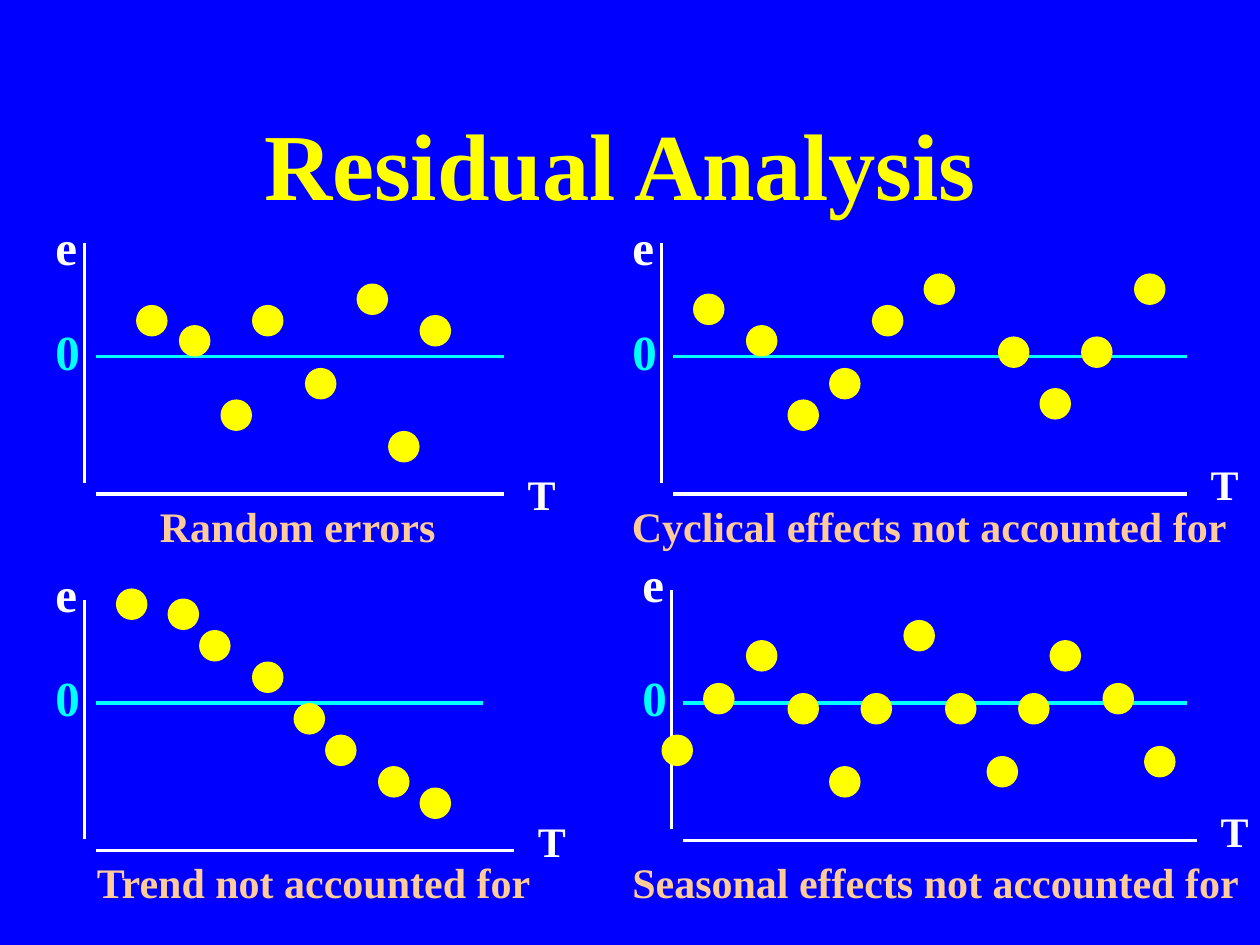
from dataclasses import dataclass

from lxml.etree import SubElement
from pptx import Presentation
from pptx.dml.color import RGBColor
from pptx.enum.shapes import MSO_CONNECTOR, MSO_SHAPE
from pptx.enum.text import MSO_ANCHOR, PP_ALIGN
from pptx.oxml.ns import qn
from pptx.util import Inches, Pt

FONT = "Times New Roman"
BLUE, YELLOW, WHITE, CYAN, PEACH = "0000FF", "FFFF00", "FFFFFF", "00FFFF", "FFCC99"
DOT = 0.25
AXIS_GAP = 0.09
AXIS_HEIGHT = 1.9
Point = tuple[float, float]


@dataclass
class Caption:
    text: str
    left: float
    top: float
    width: float
    align: PP_ALIGN = PP_ALIGN.LEFT


@dataclass
class Panel:
    caption: Caption
    left: float       # x of the vertical axis
    top: float        # upper end of the vertical axis
    zero: float       # y of the zero line
    zero_end: float
    axis_end: float   # right end of the horizontal axis
    e_top: float
    t_top: float
    dots: list[Point]  # upper left corners


PANELS = [
    Panel(Caption("Random errors", 1.17, 3.92, 2.75),
          0.67, 1.93, 2.83, 4, 4, 1.67, 3.67,
          [(1.08, 2.42), (1.42, 2.58), (1.75, 3.17), (2, 2.42),
           (2.42, 2.92), (2.83, 2.25), (3.08, 3.42), (3.33, 2.5)]),
    Panel(Caption("Cyclical effects not accounted for", 4.75, 3.92, 5.25, PP_ALIGN.CENTER),
          5.25, 1.93, 2.83, 9.42, 9.42, 1.67, 3.59,
          [(5.5, 2.33), (5.92, 2.58), (6.25, 3.17), (6.58, 2.92), (6.92, 2.42),
           (7.33, 2.17), (7.92, 2.67), (8.25, 3.08), (8.58, 2.67), (9, 2.17)]),
    Panel(Caption("Trend not accounted for", 0.67, 6.75, 3.83),
          0.67, 4.76, 5.58, 3.83, 4.08, 4.42, 6.42,
          [(0.92, 4.67), (1.33, 4.75), (1.58, 5), (2, 5.25),
           (2.33, 5.58), (2.58, 5.83), (3, 6.08), (3.33, 6.25)]),
    Panel(Caption("Seasonal effects not accounted for", 4.92, 6.75, 5.08),
          5.33, 4.68, 5.58, 9.42, 9.5, 4.34, 6.34,
          [(5.25, 5.83), (5.58, 5.42), (5.92, 5.08), (6.25, 5.5), (6.58, 6.08),
           (6.83, 5.5), (7.17, 4.92), (7.5, 5.5), (7.83, 6), (8.08, 5.5),
           (8.33, 5.08), (8.75, 5.42), (9.08, 5.92)]),
]


def rgb(color: str) -> RGBColor:
    return RGBColor.from_string(color)


def set_text(tf, text: str, size: float, color: str, align: PP_ALIGN) -> None:
    tf.text = text
    tf.word_wrap = True
    p = tf.paragraphs[0]
    p.alignment = align
    font = p.runs[0].font
    font.name, font.size, font.bold = FONT, Pt(size), True
    font.color.rgb = rgb(color)


def add_text(s, text: str, left: float, top: float, width: float, height: float,
             size: float, color: str, align: PP_ALIGN = PP_ALIGN.LEFT) -> None:
    sp = s.shapes.add_textbox(Inches(left), Inches(top), Inches(width), Inches(height))
    set_text(sp.text_frame, text, size, color, align)


def add_line(s, start: Point, end: Point, color: str) -> None:
    x1, y1, x2, y2 = (Inches(v) for v in (*start, *end))
    line = s.shapes.add_connector(MSO_CONNECTOR.STRAIGHT, x1, y1, x2, y2)
    line.line.color.rgb = rgb(color)
    line.line.width = Pt(2)
    SubElement(line._element.spPr, qn("a:effectLst"))


def add_dot(s, left: float, top: float) -> None:
    sp = s.shapes.add_shape(MSO_SHAPE.OVAL, Inches(left), Inches(top), Inches(DOT), Inches(DOT))
    sp.shadow.inherit = False
    sp.fill.solid()
    sp.fill.fore_color.rgb = rgb(YELLOW)
    sp.line.fill.background()


def add_panel(s, panel: Panel) -> None:
    # Axes and zero line
    x = panel.left + AXIS_GAP
    bottom = panel.top + AXIS_HEIGHT
    axis_y = bottom + AXIS_GAP
    add_line(s, (panel.left, panel.top), (panel.left, bottom), WHITE)
    add_line(s, (x, axis_y), (panel.axis_end, axis_y), WHITE)
    add_line(s, (x, panel.zero), (panel.zero_end, panel.zero), CYAN)

    # Axis labels
    label_left = panel.left - 0.33
    add_text(s, "e", label_left, panel.e_top, 0.58, 0.56, 28, WHITE)
    add_text(s, "0", label_left, panel.zero - 0.33, 0.58, 0.56, 28, CYAN)
    add_text(s, "T", panel.axis_end + AXIS_GAP, panel.t_top, 0.5, 0.5, 24, WHITE)

    # Caption and residuals
    c = panel.caption
    add_text(s, c.text, c.left, c.top, c.width, 0.5, 24, PEACH, c.align)
    for left, top in panel.dots:
        add_dot(s, left, top)


def main() -> None:
    prs = Presentation()
    prs.slide_width, prs.slide_height = Inches(10), Inches(7.5)
    s = prs.slides.add_slide(prs.slide_layouts[5])
    s.background.fill.solid()
    s.background.fill.fore_color.rgb = rgb(BLUE)

    # Title
    title = s.shapes.title
    title.left, title.top = Inches(0.67), Inches(0.67)
    title.width, title.height = Inches(8.5), Inches(1.25)
    title.text_frame.vertical_anchor = MSO_ANCHOR.MIDDLE
    set_text(title.text_frame, "Residual Analysis", 54, YELLOW, PP_ALIGN.CENTER)

    for panel in PANELS:
        add_panel(s, panel)
    prs.save("out.pptx")


if __name__ == "__main__":
    main()
